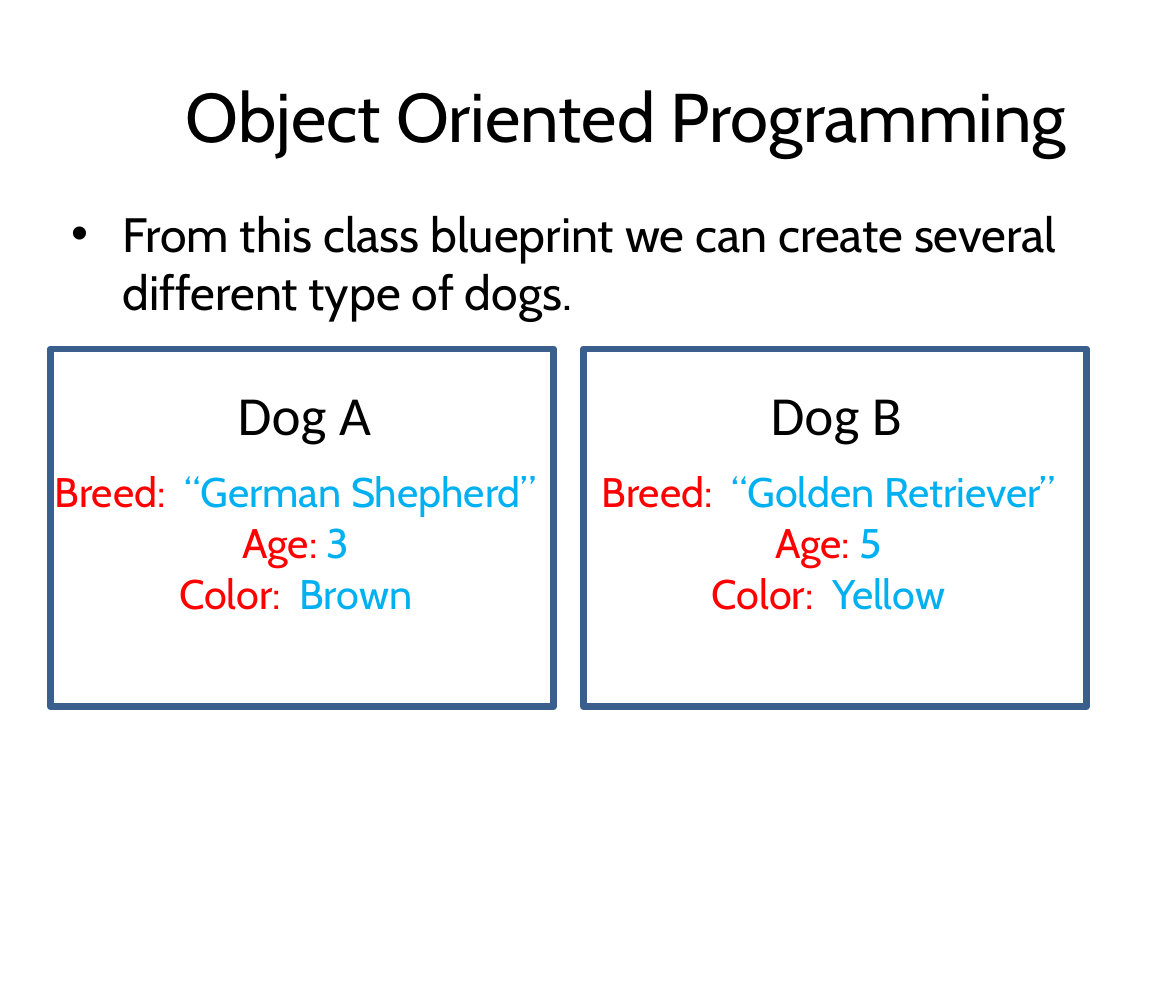
from dataclasses import dataclass

from lxml import etree
from pptx import Presentation
from pptx.dml.color import RGBColor
from pptx.enum.shapes import MSO_SHAPE as Shape
from pptx.enum.text import MSO_AUTO_SIZE as AutoSize, PP_ALIGN as Align
from pptx.oxml.ns import qn
from pptx.util import Emu, Pt

EMU_PER_PX = 6350  # 144 px to the inch
COLORS = {"text": "000000", "label": "FF0000", "value": "00B0F0", "border": "3A5F8C"}
BODY_FONT, NAME_FONT = "Cabin", "Calibri"
CARD_PITCH = 928


@dataclass
class Dog:
    name: str
    breed: str
    age: str
    color: str


DOGS = [
    Dog("Dog A", "“German Shepherd”", "3", "Brown"),
    Dog("Dog B", "“Golden Retriever”", "5", "Yellow"),
]


def px(n: int) -> Emu:
    return Emu(n * EMU_PER_PX)


def rgb(key: str) -> RGBColor:
    return RGBColor.from_string(COLORS[key])


def add_text_frame(slide, x: int, y: int, w: int, h: int, top: int = 0):
    tf = slide.shapes.add_textbox(px(x), px(y), px(w), px(h)).text_frame
    tf.margin_left = tf.margin_right = tf.margin_bottom = 0
    tf.margin_top = px(top)
    tf.word_wrap = True
    tf.auto_size = AutoSize.SHAPE_TO_FIT_TEXT
    return tf


def add_run(p, text: str, size: int, color: str = "text", font: str = BODY_FONT) -> None:
    r = p.add_run()
    r.text = text
    r.font.size = Pt(size)
    r.font.name = font
    r.font.color.rgb = rgb(color)


def set_indent(p, left: int, first: int = 0) -> None:
    pPr = p._p.get_or_add_pPr()
    pPr.set("marL", str(px(left)))
    pPr.set("indent", str(px(first)))


def add_bullet(p, indent: int) -> None:
    set_indent(p, indent, -indent)
    pPr = p._p.get_or_add_pPr()
    etree.SubElement(pPr, qn("a:buFont")).set("typeface", "Arial")
    etree.SubElement(pPr, qn("a:buChar")).set("char", "•")


def add_dog(slide, dog: Dog, dx: int) -> None:
    # Attributes
    tf = add_text_frame(slide, 40 + dx, 812, 948, 268, top=1)
    rows = [("Breed: ", dog.breed), ("Age:", dog.age), ("Color: ", dog.color)]
    for i, (label, value) in enumerate(rows):
        p = tf.add_paragraph() if i else tf.paragraphs[0]
        p.alignment = Align.CENTER
        p.space_before = Pt(1)
        set_indent(p, 2)
        add_run(p, label, 36, "label")
        add_run(p, f" {value}", 36, "value")

    # Name
    tf = add_text_frame(slide, 414 + dx, 656, 234, 131, top=7)
    tf.word_wrap = False
    add_run(tf.paragraphs[0], dog.name, 48, font=NAME_FONT)

    # Frame
    sp = slide.shapes.add_shape(Shape.RECTANGLE, px(88 + dx), px(608), px(876), px(623))
    sp.shadow.inherit = False
    sp.fill.background()
    sp.line.color.rgb = rgb("border")
    sp.line.width = Pt(6)


def main() -> None:
    prs = Presentation()
    prs.slide_width, prs.slide_height = px(2048), px(1744)
    slide = prs.slides.add_slide(prs.slide_layouts[6])

    # Title
    p = add_text_frame(slide, 88, 128, 2004, 145).paragraphs[0]
    p.alignment = Align.CENTER
    add_run(p, "Object Oriented Programming", 60)

    # Introduction
    p = add_text_frame(slide, 124, 356, 1758, 203).paragraphs[0]
    add_bullet(p, 89)
    add_run(p, "From this class blueprint we can create several different type of dogs.", 42)

    # Dogs made from the class
    for i, dog in enumerate(DOGS):
        add_dog(slide, dog, i * CARD_PITCH)

    prs.save("out.pptx")


if __name__ == "__main__":
    main()
